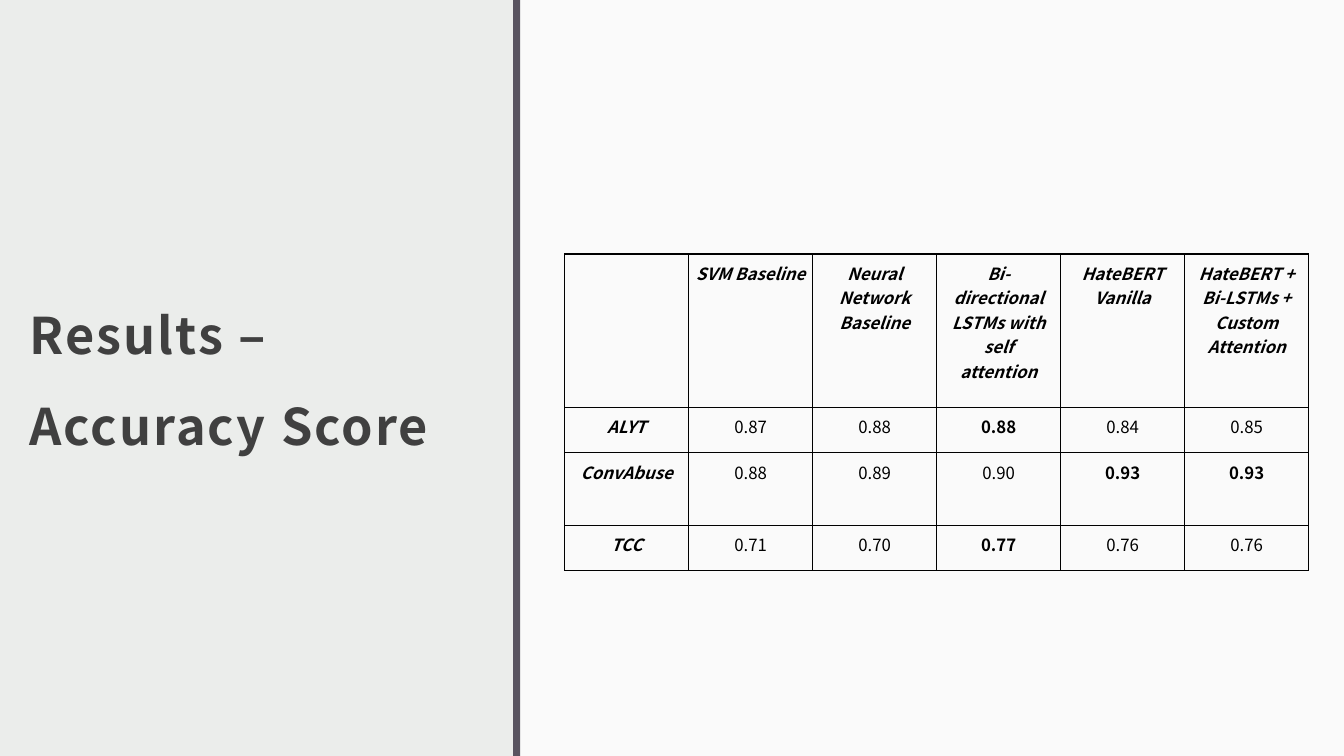
from dataclasses import dataclass

from lxml import etree
from pptx import Presentation
from pptx.dml.color import RGBColor
from pptx.enum.shapes import MSO_SHAPE
from pptx.enum.text import MSO_ANCHOR, MSO_AUTO_SIZE, PP_ALIGN
from pptx.oxml.ns import qn
from pptx.util import Inches, Pt


@dataclass(frozen=True)
class Theme:
    font: str = "Noto Sans CJK JP"
    background: str = "EBEDEB"
    panel: str = "FAFAFA"
    divider: str = "595460"
    title: str = "404040"
    ink: str = "000000"
    title_size: int = 36
    table_size: int = 12


THEME = Theme()

MODELS = ["SVM Baseline", "Neural Network Baseline",
          "Bi-directional LSTMs with self attention", "HateBERT Vanilla",
          "HateBERT + Bi-LSTMs + Custom Attention"]
# Dataset, accuracy per model, columns of the highlighted scores
SCORES = [
    ("ALYT", [0.87, 0.88, 0.88, 0.84, 0.85], {3}),
    ("ConvAbuse", [0.88, 0.89, 0.90, 0.93, 0.93], {4, 5}),
    ("TCC", [0.71, 0.70, 0.77, 0.76, 0.76], {3}),
]
ROW_HEIGHTS = [1.52, 0.45, 0.72, 0.45]


def rgb(value):
    return RGBColor.from_string(value)


def style_font(font, size, color, bold=False, italic=False):
    font.name, font.size = THEME.font, Pt(size)
    font.color.rgb = rgb(color)
    font.bold, font.italic = bold, italic


def set_margins(target, left, top, right, bottom):
    target.margin_left, target.margin_top = Inches(left), Inches(top)
    target.margin_right, target.margin_bottom = Inches(right), Inches(bottom)


def add_block(slide, box, color):
    block = slide.shapes.add_shape(MSO_SHAPE.RECTANGLE, *map(Inches, box))
    block.shadow.inherit = False
    block.fill.solid()
    block.fill.fore_color.rgb = rgb(color)
    block.line.fill.background()


def add_backdrop(slide, box):
    """Pale panel with a dark divider along its left edge."""
    left, top, width, height = box
    divider_width = 0.07
    add_block(slide, box, THEME.panel)
    add_block(slide, (left - divider_width, top, divider_width, height),
              THEME.divider)


def add_title(slide, box, text):
    title = slide.shapes.title
    title.left, title.top, title.width, title.height = map(Inches, box)
    frame = title.text_frame
    frame.word_wrap, frame.auto_size = True, MSO_AUTO_SIZE.NONE
    frame.vertical_anchor = MSO_ANCHOR.MIDDLE
    set_margins(frame, 0.12, 0.12, 0.12, 0.1)
    frame.text = text
    paragraph = frame.paragraphs[0]
    paragraph.alignment, paragraph.line_spacing = PP_ALIGN.LEFT, 1.5
    for run in paragraph.runs:
        style_font(run.font, THEME.title_size, THEME.title, bold=True)
        run.font._element.set("spc", "150")


def add_borders(cell):
    properties = cell._tc.get_or_add_tcPr()
    for position, side in enumerate(("lnL", "lnR", "lnT", "lnB")):
        line = etree.Element(qn(f"a:{side}"), w=str(Pt(1)))
        fill = etree.SubElement(line, qn("a:solidFill"))
        etree.SubElement(fill, qn("a:srgbClr"), val=THEME.ink)
        properties.insert(position, line)


def fill_cell(cell, text, bold, italic):
    cell.fill.background()
    add_borders(cell)
    set_margins(cell, 0.07, 0.07, 0.07, 0.07)
    if not text:
        return
    cell.text = text
    paragraph = cell.text_frame.paragraphs[0]
    paragraph.alignment = PP_ALIGN.CENTER
    for run in paragraph.runs:
        style_font(run.font, THEME.table_size, THEME.ink, bold, italic)


def add_score_table(slide, box):
    columns = len(MODELS) + 1
    frame = slide.shapes.add_table(len(SCORES) + 1, columns, *map(Inches, box))
    table = frame.table
    table.first_row = table.horz_banding = False
    for column in table.columns:
        column.width = Inches(box[2] / columns)
    for row, height in zip(table.rows, ROW_HEIGHTS):
        row.height = Inches(height)

    # Header row
    for c, label in enumerate(["", *MODELS]):
        fill_cell(table.cell(0, c), label, bold=True, italic=True)
    # One row per dataset
    for r, (dataset, values, best) in enumerate(SCORES, 1):
        fill_cell(table.cell(r, 0), dataset, bold=True, italic=True)
        for c, value in enumerate(values, 1):
            fill_cell(table.cell(r, c), f"{value:.2f}", c in best, italic=False)


def build_results_slide(deck):
    slide = deck.slides.add_slide(deck.slide_layouts[5])
    slide.background.fill.solid()
    slide.background.fill.fore_color.rgb = rgb(THEME.background)
    add_backdrop(slide, (5.16, 0, 8.17, 7.5))
    add_title(slide, (0.17, 0.77, 4.8, 5.68), "Results –\vAccuracy Score")
    add_score_table(slide, (5.6, 2.52, 7.38, sum(ROW_HEIGHTS)))


deck = Presentation()
deck.slide_width, deck.slide_height = Inches(13.33), Inches(7.5)
build_results_slide(deck)
deck.save("out.pptx")
